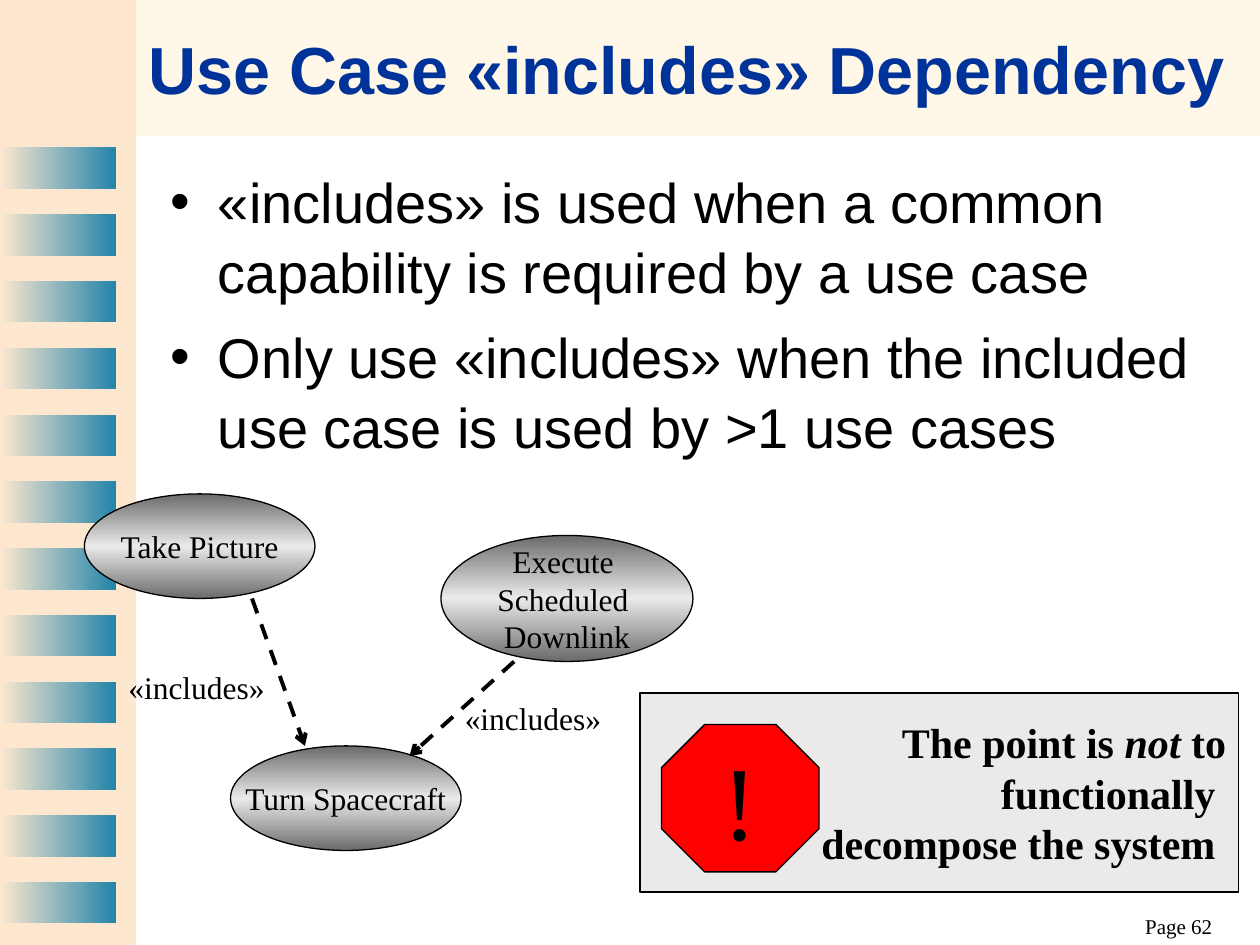
from dataclasses import dataclass

from lxml import etree
from pptx import Presentation
from pptx import oxml
from pptx import util as u
from pptx.dml.color import RGBColor
from pptx.enum import dml, shapes, text
from pptx.oxml import ns

LEFT, CENTER, RIGHT = text.PP_ALIGN.LEFT, text.PP_ALIGN.CENTER, text.PP_ALIGN.RIGHT
SHAPE = shapes.MSO_SHAPE


@dataclass(frozen=True)
class Theme:
    cream: str = "FFF7E7"
    peach: str = "FDE8CF"
    teal: str = "2384AB"
    white: str = "FFFFFF"
    black: str = "000000"
    navy: str = "003399"
    light_gray: str = "EAEAEA"
    dark_gray: str = "6B6B6B"
    red: str = "FF0000"
    sans: str = "Arial"
    serif: str = "Times New Roman"
    title_size: int = 38
    body_size: int = 32
    callout_size: int = 24
    alert_size: int = 60
    label_size: int = 18
    footer_size: int = 12
    outline: float = 0.75
    arrow: float = 2.25


class SlideBuilder:
    def __init__(self, page, theme):
        self.page = page
        self.theme = theme

    def background(self, color):
        fill = self.page.background.fill
        fill.solid()
        fill.fore_color.rgb = RGBColor.from_string(color)

    def shape(self, kind, left, top, width, height, colors, angle=0, outlined=False):
        """Add a preset shape; several colors make an evenly spaced gradient."""
        item = self.page.shapes.add_shape(kind, *map(u.Inches, (left, top, width, height)))
        item.shadow.inherit = False
        if len(colors) == 1:
            item.fill.solid()
            item.fill.fore_color.rgb = RGBColor.from_string(colors[0])
        else:
            self.gradient(item, colors, angle)
        if outlined:
            item.line.color.rgb = RGBColor.from_string(self.theme.black)
            item.line.width = u.Pt(self.theme.outline)
        else:
            item.line.fill.background()
        return item

    def gradient(self, item, colors, angle):
        item.fill.gradient()
        item.fill.gradient_angle = -angle % 360
        stops = item.element.spPr.find(".//" + ns.qn("a:gsLst"))
        for stop in list(stops):
            stops.remove(stop)
        for index, color in enumerate(colors):
            position = index * 100000 // (len(colors) - 1)
            stops.append(oxml.parse_xml(
                f'<a:gs {ns.nsdecls("a")} pos="{position}"><a:srgbClr val="{color}"/></a:gs>'))

    def format_text(self, item, size, align=LEFT, font=None, color=None, bold=False):
        for para in item.text_frame.paragraphs:
            para.alignment = align
            for span in para.runs:
                span.font.name = font or self.theme.serif
                span.font.size = u.Pt(size)
                span.font.bold = bold
                span.font.color.rgb = RGBColor.from_string(color or self.theme.black)

    def caption(self, item, words, size, align=CENTER, bold=False):
        """Write unwrapped, vertically centred text inside a shape."""
        item.text_frame.word_wrap = False
        item.text_frame.vertical_anchor = text.MSO_ANCHOR.MIDDLE
        item.text_frame.text = words
        self.format_text(item, size, align, bold=bold)

    def use_case(self, words, left, top, width, height):
        gray = self.theme.dark_gray
        oval = self.shape(SHAPE.OVAL, left, top, width, height,
                          [gray, self.theme.light_gray, gray], 90, outlined=True)
        self.caption(oval, words, self.theme.label_size)

    def label(self, words, left, top, width, height, size):
        box = self.page.shapes.add_textbox(*map(u.Inches, (left, top, width, height)))
        box.text_frame.word_wrap = False
        box.text_frame.auto_size = text.MSO_AUTO_SIZE.SHAPE_TO_FIT_TEXT
        box.text_frame.text = words
        self.format_text(box, size)

    def dependency(self, *ends):
        arrow = self.page.shapes.add_connector(
            shapes.MSO_CONNECTOR.STRAIGHT, *map(u.Inches, ends))
        arrow.line.color.rgb = RGBColor.from_string(self.theme.black)
        arrow.line.width = u.Pt(self.theme.arrow)
        arrow.line.dash_style = dml.MSO_LINE.DASH
        properties = arrow.element.spPr
        etree.SubElement(properties.find(ns.qn("a:ln")), ns.qn("a:tailEnd"), type="arrow")
        etree.SubElement(properties, ns.qn("a:effectLst"))

    def placeholder(self, index, words, left, top, width, height):
        """Fill a template placeholder and bring it in front of the panels."""
        item = self.page.placeholders[index]
        item.left, item.top, item.width, item.height = map(
            u.Inches, (left, top, width, height))
        item.text_frame.text = words
        item.text_frame.auto_size = text.MSO_AUTO_SIZE.NONE
        item.text_frame.word_wrap = True
        item.element.getparent().append(item.element)
        return item

    def title(self, words, *place):
        item = self.placeholder(0, words, *place)
        item.text_frame.vertical_anchor = text.MSO_ANCHOR.MIDDLE
        self.format_text(item, self.theme.title_size, font=self.theme.sans,
                         color=self.theme.navy, bold=True)

    def bullets(self, lines, *place):
        item = self.placeholder(1, "\n".join(lines), *place)
        for index, para in enumerate(item.text_frame.paragraphs):
            para.line_spacing = 1.05
            para.space_before = u.Pt(8 if index else 0)
            properties = para._p.get_or_add_pPr()
            properties.set("marL", str(u.Inches(0.38)))
            properties.set("indent", str(u.Inches(-0.38)))
            etree.SubElement(properties, ns.qn("a:buFont"), typeface=self.theme.sans)
            etree.SubElement(properties, ns.qn("a:buChar"), char="•")
        self.format_text(item, self.theme.body_size, font=self.theme.sans)

    def callout(self, *place):
        panel = self.shape(SHAPE.RECTANGLE, *place, [self.theme.light_gray], outlined=True)
        self.caption(panel, "The point is \nfunctionally \ndecompose the system ",
                     self.theme.callout_size, RIGHT, bold=True)
        opening = panel.text_frame.paragraphs[0]
        for words in ("not", " to"):
            opening.add_run().text = words
        self.format_text(panel, self.theme.callout_size, RIGHT, bold=True)
        opening.runs[1].font.italic = True


def main():
    theme = Theme()
    deck = Presentation()
    deck.slide_width, deck.slide_height = u.Inches(10), u.Inches(7.5)
    slide = SlideBuilder(deck.slides.add_slide(deck.slide_layouts[1]), theme)

    slide.background(theme.cream)
    slide.shape(SHAPE.RECTANGLE, 0, 0, 1.08, 7.5, [theme.peach])
    for index in range(12):
        slide.shape(SHAPE.RECTANGLE, 0, 1.17 + 0.53 * index, 0.92, 0.33,
                    [theme.teal, theme.peach], 180)
    slide.shape(SHAPE.RECTANGLE, 1.08, 1.08, 8.92, 6.42, [theme.white])
    slide.label("Page 62", 8.99, 7.2, 1.26, 0.3, theme.footer_size)

    slide.title("Use Case «includes» Dependency", 1.08, 0, 8.92, 1.08)
    slide.bullets(["«includes» is used when a common capability is required by a use case",
                   "Only use «includes» when the included use case is used by >1 use cases"],
                  1.25, 1.25, 8.5, 4.5)

    slide.callout(5.08, 5.5, 4.75, 1.58)
    stop_sign = slide.shape(SHAPE.OCTAGON, 5.25, 5.75, 1.25, 1.17, [theme.red], outlined=True)
    slide.caption(stop_sign, "!", theme.alert_size)

    slide.use_case("Turn Spacecraft", 1.83, 5.92, 1.83, 0.83)
    slide.use_case("Take Picture", 0.67, 3.92, 1.83, 0.83)
    slide.use_case("Execute \nScheduled \nDownlink", 3.5, 4.25, 2, 1)
    slide.dependency(2, 4.75, 2.42, 5.92)
    slide.dependency(4.08, 5.25, 3.25, 6)
    for left, top in ((0.92, 5.25), (3.59, 5.5)):
        slide.label("«includes»", left, top, 1.28, 0.4, theme.label_size)

    deck.save("out.pptx")


if __name__ == "__main__":
    main()
